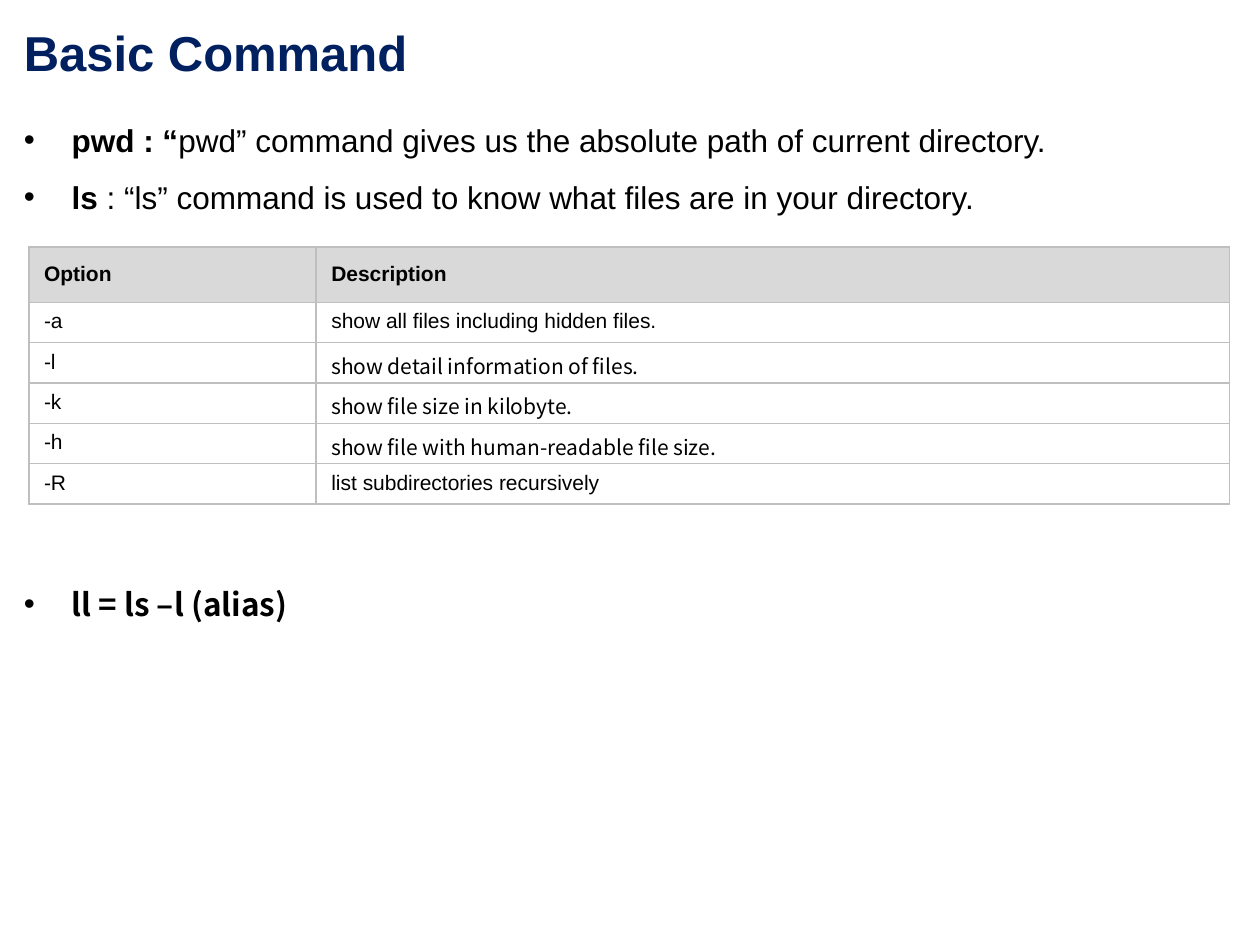
from lxml.etree import SubElement as add_element
from pptx import Presentation
from pptx.dml.color import RGBColor as Color
from pptx.enum.text import MSO_AUTO_SIZE as AutoSize
from pptx.oxml.ns import qn
from pptx.util import Inches, Pt

COLORS = {"title": "002060", "text": "000000", "header": "D9D9D9",
          "body": "FFFFFF", "border": "BFBFBF"}
SANS, KOREAN = "Arial", "Noto Sans CJK KR"
OPTIONS = [
    ("-a", "show all files including hidden files.", SANS),
    ("-l", "show detail information of files.", KOREAN),
    ("-k", "show file size in kilobyte.", KOREAN),
    ("-h", "show file with human-readable file size.", KOREAN),
    ("-R", "list subdirectories recursively", SANS),
]


def add_text(para, text, size=18, font=SANS, color="text", bold=False):
    """Append a formatted span to a paragraph."""
    span = para.add_run()
    span.text = text
    span.font.size = Pt(size)
    span.font.name = font
    span.font.bold = bold
    span.font.color.rgb = Color.from_string(COLORS[color])


class SlideBuilder:
    """Place elements on a page by a grid of 100 columns and 75 rows."""

    def __init__(self, deck):
        self.unit = deck.slide_width / 100
        self.page = deck.slides.add_slide(deck.slide_layouts[6])

    def grid(self, *lengths):
        """Turn grid lengths into slide lengths."""
        return [round(length * self.unit) for length in lengths]

    def text_box(self, *place):
        """Add a wrapping text box and return its frame."""
        frame = self.page.shapes.add_textbox(*self.grid(*place)).text_frame
        frame.word_wrap = True
        frame.auto_size = AutoSize.SHAPE_TO_FIT_TEXT
        return frame

    def title(self, text, *place):
        """Add the page title."""
        para = self.text_box(*place).paragraphs[0]
        add_text(para, text, size=28, color="title", bold=True)

    def bullets(self, items, *place, font=SANS):
        """Add bulleted lines, each a bold lead and a plain rest."""
        frame = self.text_box(*place)
        for index, (lead, rest) in enumerate(items):
            para = frame.add_paragraph() if index else frame.paragraphs[0]
            props = para._p.get_or_add_pPr()
            props.set("marL", str(Inches(0.38)))
            props.set("indent", str(-Inches(0.38)))
            para.line_spacing = 1.5
            add_element(props, qn("a:buFont"), typeface=SANS)
            add_element(props, qn("a:buChar"), char="•")
            add_text(para, lead, font=font, bold=True)
            if rest:
                add_text(para, rest, font=font)

    def cell(self, cell, text, font=SANS, header=False):
        """Fill one table cell and draw its borders."""
        cell.margin_left = cell.margin_right = Inches(0.12)
        cell.margin_top = cell.margin_bottom = Inches(0.12 if header else 0.06)
        if font == KOREAN:
            cell.margin_bottom = Inches(0.01)
        add_text(cell.text_frame.paragraphs[0], text, size=12, font=font, bold=header)
        props = cell._tc.get_or_add_tcPr()
        for side in ("lnL", "lnR", "lnT", "lnB"):
            line = add_element(props, qn(f"a:{side}"), w=str(Pt(1)))
            fill = add_element(line, qn("a:solidFill"))
            add_element(fill, qn("a:srgbClr"), val=COLORS["border"])
        cell.fill.solid()
        cell.fill.fore_color.rgb = Color.from_string(COLORS["header" if header else "body"])

    def table(self, heads, rows, left, top, widths, head_height, row_height):
        """Add a table of options and their descriptions."""
        height = head_height + row_height * len(rows)
        place = self.grid(left, top, sum(widths), height)
        table = self.page.shapes.add_table(len(rows) + 1, len(heads), *place).table
        for column, width in zip(table.columns, self.grid(*widths)):
            column.width = width
        heights = self.grid(head_height, *[row_height] * len(rows))
        for row, row_size in zip(table.rows, heights):
            row.height = row_size
        for column, head in enumerate(heads):
            self.cell(table.cell(0, column), head, header=True)
        for index, (option, description, font) in enumerate(rows, 1):
            self.cell(table.cell(index, 0), option)
            self.cell(table.cell(index, 1), description, font=font)


def main():
    """Build and save the deck."""
    deck = Presentation()
    deck.slide_width, deck.slide_height = Inches(10), Inches(7.5)
    slide = SlideBuilder(deck)
    slide.title("Basic Command", 0.9, 1.3, 79.2, 5.7)
    slide.bullets([
        ("pwd : “", "pwd” command gives us the absolute path of current directory."),
        ("ls", " : “ls” command is used to know what files are in your directory."),
    ], 0.9, 7.6, 97.5, 9.5)
    slide.bullets([("ll = ls –l (alias)", "")], 0.9, 44.4, 97.5, 5, font=KOREAN)
    slide.table(("Option", "Description"), OPTIONS, 2.3, 19.6, (22.8, 72.5), 4.4, 3.18)
    deck.save("out.pptx")


if __name__ == "__main__":
    main()
